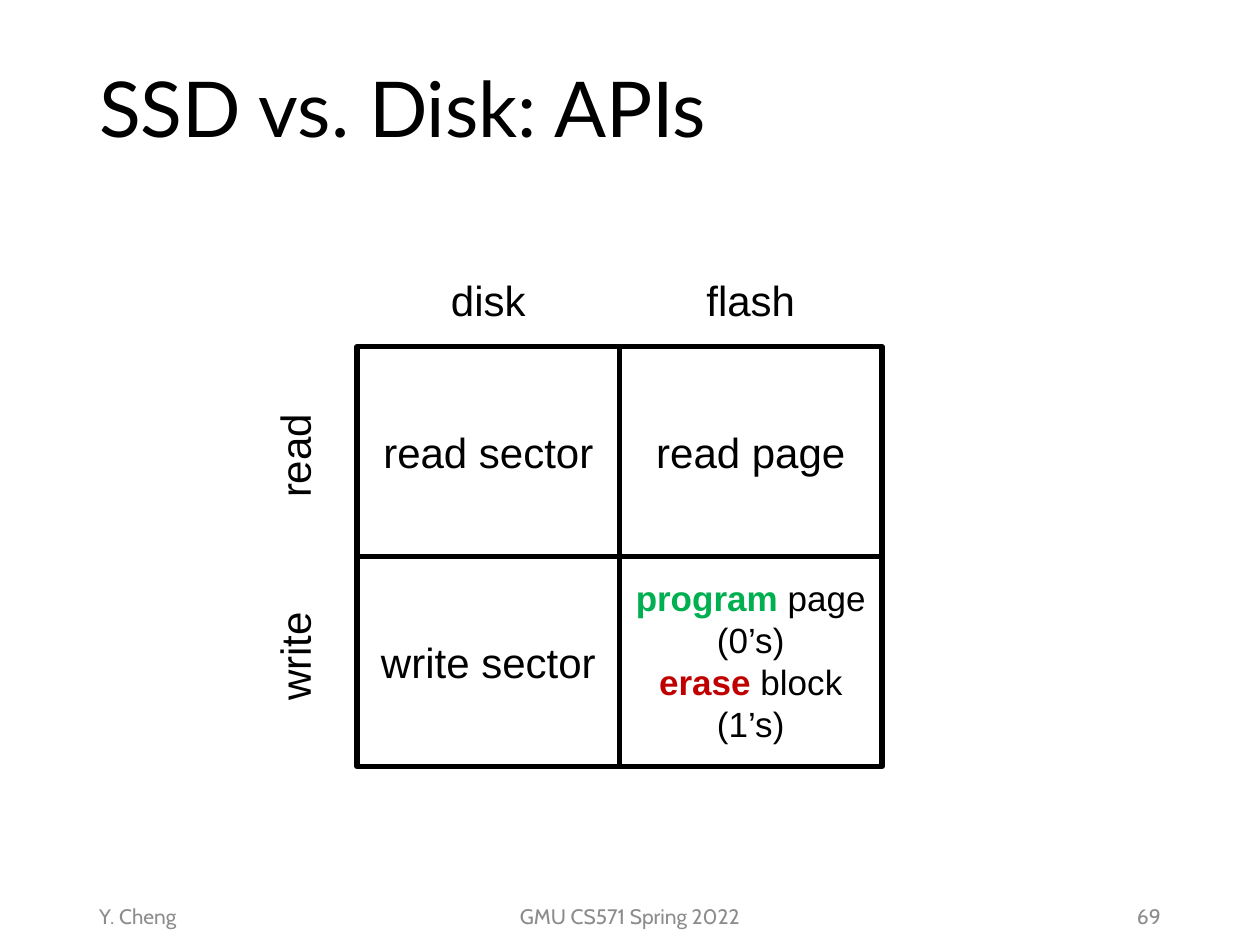
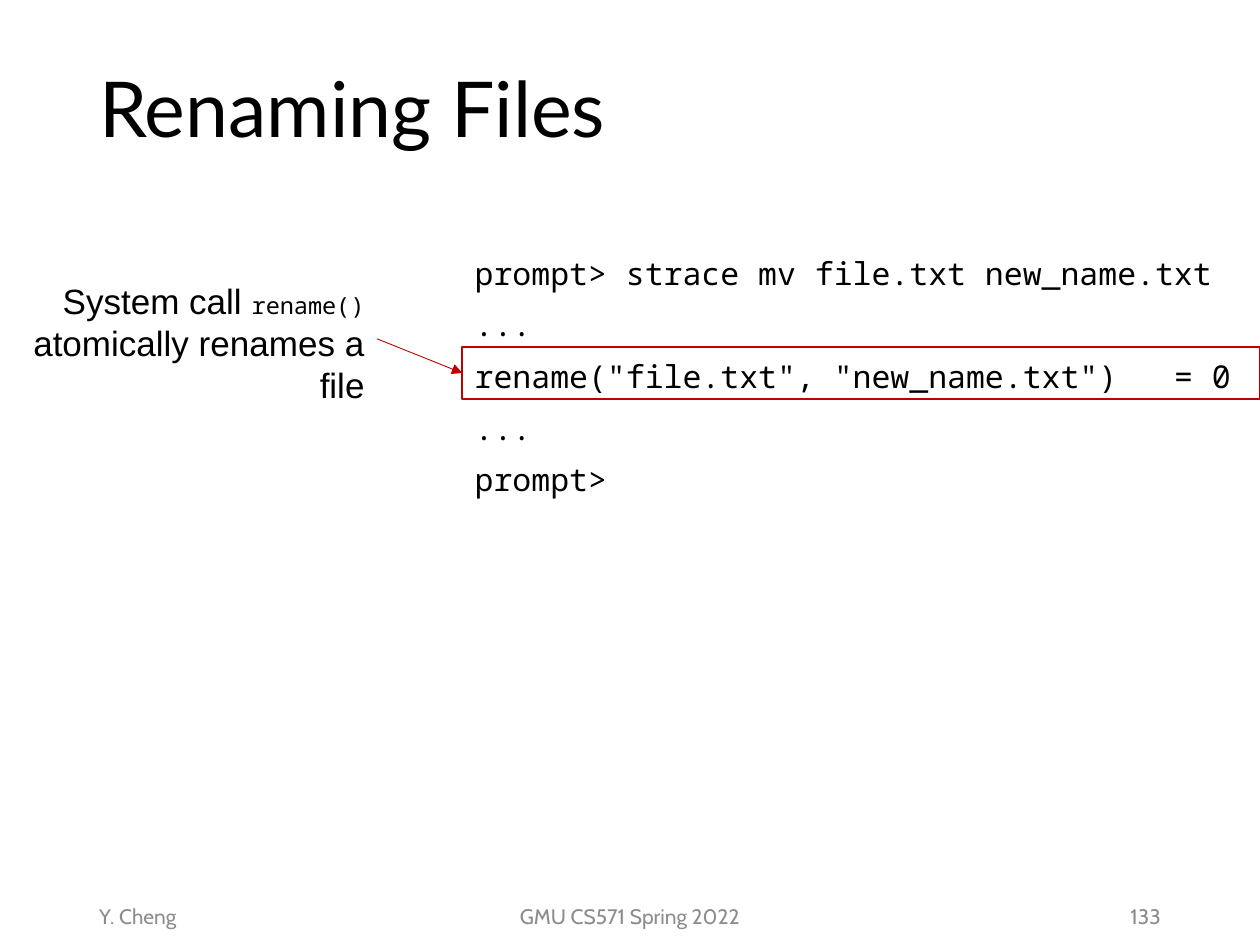
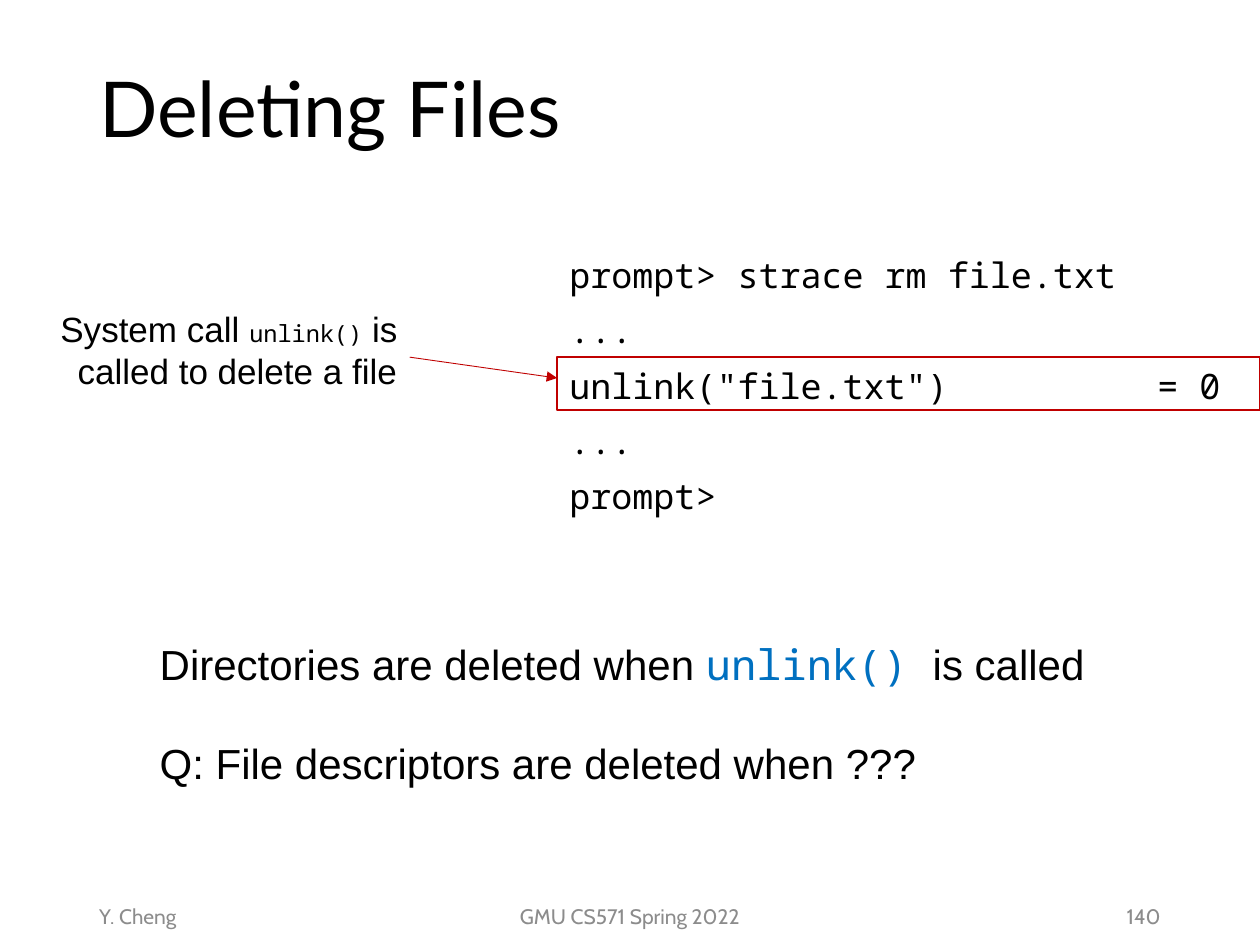
"""Build three lecture slides on storage calls and file system calls."""
from dataclasses import dataclass

from lxml.etree import SubElement as Sub
from pptx import Presentation as Deck
from pptx.dml.color import RGBColor as Rgb
from pptx.enum.shapes import MSO_CONNECTOR as Conn, MSO_SHAPE as Form
from pptx.enum.text import MSO_ANCHOR as Anchor, PP_ALIGN as Align
from pptx.oxml.ns import qn
from pptx.util import Cm, Pt


@dataclass(frozen=True)
class Theme:
    """Hold the colours, fonts and type sizes of the deck."""
    ink: str = "000000"
    grey: str = "8C8C8C"
    red: str = "C00000"
    green: str = "00B050"
    blue: str = "0070C0"
    head: str = "Lato"
    sans: str = "Arial"
    mono: str = "Noto Sans Mono"
    foot: str = "Cabin"
    title: float = 44
    large: float = 24
    note: float = 20
    call: float = 13.5
    small: float = 12


@dataclass(frozen=True)
class Run:
    """Hold one run of text and its look."""
    text: str
    size: float
    font: str = "Arial"
    color: str = "000000"
    bold: bool = False


T = Theme()


def add_text(slide, at, paras, align=Align.LEFT, anchor=Anchor.TOP,
             line=None, gap=None, turn=0):
    """Add a text box, given in cm, with one list of runs per paragraph."""
    box = slide.shapes.add_textbox(*map(Cm, at))
    box.rotation = turn
    frame = box.text_frame
    frame.word_wrap = True
    frame.vertical_anchor = anchor
    for i, runs in enumerate(paras):
        para = frame.paragraphs[0] if i == 0 else frame.add_paragraph()
        para.alignment = align
        if line:
            para.line_spacing = line
        if gap:
            para.space_before = Pt(gap)
        for item in runs:
            run = para.add_run()
            run.text = item.text
            font = run.font
            font.name, font.size, font.bold = item.font, Pt(item.size), item.bold
            font.color.rgb = Rgb.from_string(item.color)
    return frame


def add_label(slide, mid, size, paras, turn=0):
    """Add centred text around a middle point."""
    (x, y), (wide, high) = mid, size
    add_text(slide, (x - wide / 2, y - high / 2, wide, high), paras,
             Align.CENTER, turn=turn)


def add_frame(slide, at, color, width):
    """Add an unfilled box with a coloured outline."""
    box = slide.shapes.add_shape(Form.RECTANGLE, *map(Cm, at))
    box.shadow.inherit = False
    box.fill.background()
    box.line.color.rgb = Rgb.from_string(color)
    box.line.width = Pt(width)


def add_arrow(slide, start, end):
    """Add a thin red arrow between two points."""
    arrow = slide.shapes.add_connector(Conn.STRAIGHT, *map(Cm, start + end))
    arrow.line.color.rgb = Rgb.from_string(T.red)
    arrow.line.width = Pt(0.5)
    props = arrow.element.spPr
    Sub(props.find(qn("a:ln")), qn("a:tailEnd"), type="triangle")
    Sub(props, qn("a:effectLst"))


def add_tab(para, place):
    """Give a paragraph one left tab stop."""
    tabs = Sub(para._p.get_or_add_pPr(), qn("a:tabLst"))
    Sub(tabs, qn("a:tab"), pos=str(Cm(place)), algn="l")


def add_slide(deck, title, number):
    """Add a blank slide with its title and footer."""
    slide = deck.slides.add_slide(deck.slide_layouts[6])
    add_text(slide, (1.75, 0.43, 21.9, 3.68), [[Run(title, T.title, T.head)]],
             anchor=Anchor.MIDDLE, line=0.9)
    feet = ((1.75, 5.72, "Y. Cheng", Align.LEFT),
            (8.41, 8.58, "GMU CS571 Spring 2022", Align.CENTER),
            (17.93, 5.72, str(number), Align.RIGHT))
    for left, wide, text, align in feet:
        add_text(slide, (left, 17.96, wide, 1.01),
                 [[Run(text, T.small, T.foot, T.grey)]], align, Anchor.MIDDLE)
    return slide


def add_trace(slide, left, wide, size, lines, tab):
    """Add terminal output with a tab stop for return values."""
    frame = add_text(slide, (left, 5.08, wide, 12.57),
                     [[Run(text, size, T.mono)] for text in lines],
                     line=0.9, gap=10)
    add_tab(frame.paragraphs[2], tab)


def add_note(slide, top, wide, high, call, rest):
    """Add a right-aligned remark on a system call."""
    runs = [Run("System call ", T.note), Run(call, T.call, T.mono),
            Run(rest, T.note)]
    add_text(slide, (-0.43, top, wide, high), [runs], Align.RIGHT)


def draw_grid(slide):
    """Draw the grid of disk and flash calls."""
    left, top, wide, high = 7.2, 6.99, 5.29, 4.23
    size = (4.88, 1.27)
    mids = [left + wide * (col + 0.5) for col in range(2)]
    rows = [top + high * (row + 0.5) for row in range(2)]
    for row in range(2):
        for col in range(2):
            add_frame(slide, (left + col * wide, top + row * high, wide, high),
                      T.ink, 3)
    for x, text in zip(mids, ("disk", "flash")):
        add_label(slide, (x, 6.05), size, [[Run(text, T.large)]])
    for y, text in ((9.19, "read"), (13.23, "write")):
        add_label(slide, (5.93, y), size, [[Run(text, T.large)]], 270)
    cells = ((0, 0, "read sector"), (1, 0, "read page"), (0, 1, "write sector"))
    for col, row, text in cells:
        add_label(slide, (mids[col], rows[row]), size, [[Run(text, T.large)]])
    add_label(slide, (mids[1], rows[1]), (5.51, 3.68), [
        [Run("program ", T.note, color=T.green, bold=True), Run("page", T.note)],
        [Run("(0’s)", T.note)],
        [Run("erase", T.note, color=T.red, bold=True), Run(" block", T.note)],
        [Run("(1’s)", T.note)]])


def draw_rename(slide):
    """Draw the trace of renaming a file."""
    add_trace(slide, 9.32, 15.88, 18, (
        "prompt> strace mv file.txt new_name.txt", "...",
        'rename("file.txt", "new_name.txt")\t= 0', "...", "prompt>"), 14.1)
    add_frame(slide, (9.32, 6.99, 16.08, 1.06), T.red, 1)
    add_note(slide, 5.51, 8.03, 2.82, "rename()", " atomically renames a file")
    add_arrow(slide, (7.6, 6.83), (9.32, 7.52))


def draw_delete(slide):
    """Draw the trace of deleting a file and the closing question."""
    add_trace(slide, 11.23, 14.17, 20, (
        "prompt> strace rm file.txt", "...",
        'unlink("file.txt")\t= 0', "...", "prompt>"), 11.85)
    add_frame(slide, (11.23, 7.2, 14.17, 1.06), T.red, 1)
    add_note(slide, 6.07, 8.69, 1.96, "unlink()", " is called to delete a file")
    add_arrow(slide, (8.26, 7.2), (11.23, 7.62))
    frame = add_text(slide, (2.97, 12.75, 19.89, 3.33), [
        [Run("Directories are deleted when ", T.large),
         Run("unlink() ", T.large, T.mono, T.blue), Run("is called", T.large)],
        [Run("Q: File descriptors are deleted when ???", T.large)]])
    frame.paragraphs[1].space_before = Pt(27.6)


def main():
    """Build and save the deck."""
    deck = Deck()
    deck.slide_width, deck.slide_height = Cm(25.4), Cm(19.05)
    pages = (("SSD vs. Disk: APIs", 69, draw_grid),
             ("Renaming Files", 133, draw_rename),
             ("Deleting Files", 140, draw_delete))
    for title, number, draw in pages:
        draw(add_slide(deck, title, number))
    deck.save("out.pptx")


if __name__ == "__main__":
    main()
